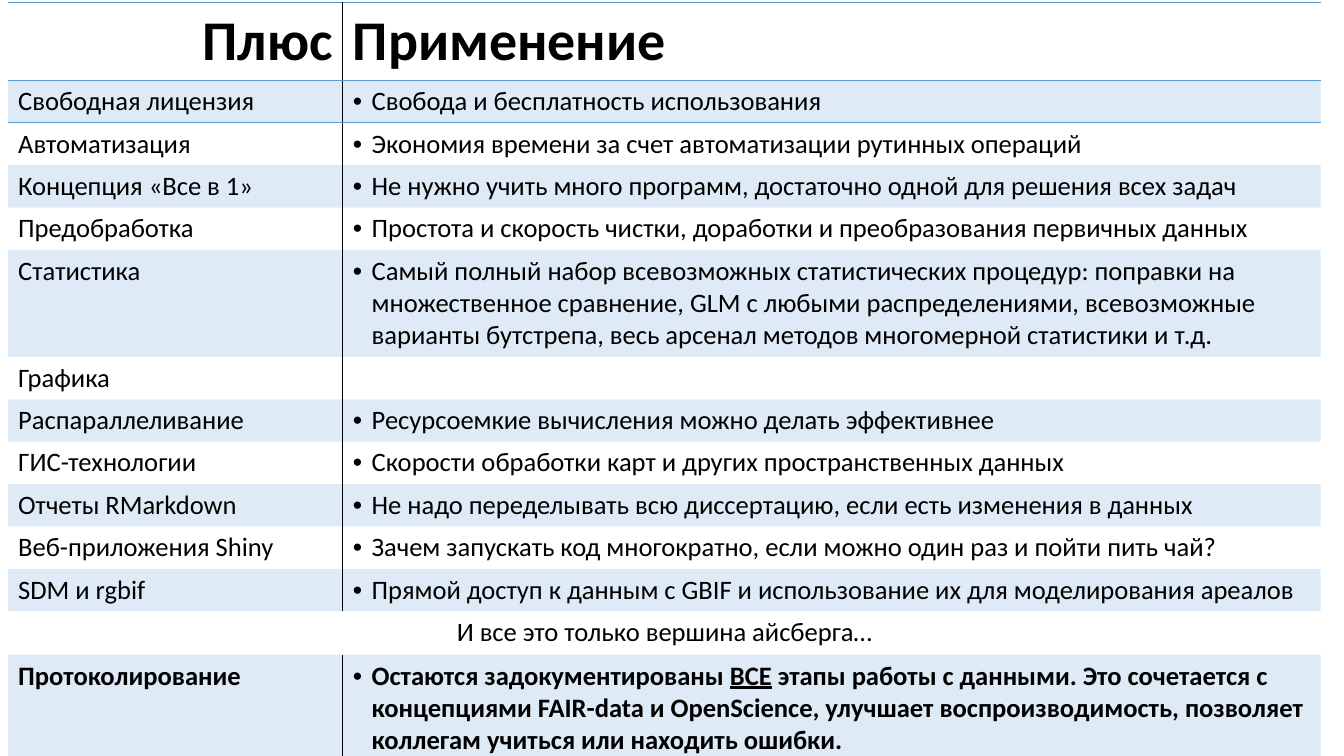
from lxml.etree import SubElement
from pptx import Presentation
from pptx.dml.color import RGBColor
from pptx.enum.text import PP_ALIGN
from pptx.oxml import parse_xml
from pptx.oxml.ns import nsdecls, qn
from pptx.util import Pt

COLORS = {"text": "000000", "blue": "5B9BD5"}
NO_STYLE = "{2D5ABB26-0587-4C30-8999-92F81FD0307C}"
HEADER_H, LINE_H, BLOCK_H, CLOSING_H = 55.7, 30.25, 76.2, 31.2

ROWS = [
    ("Плюс", "Применение", HEADER_H),
    ("Свободная лицензия", "Свобода и бесплатность использования", LINE_H),
    ("Автоматизация", "Экономия времени за счет автоматизации рутинных операций", LINE_H),
    ("Концепция «Все в 1»",
     "Не нужно учить много программ, достаточно одной для решения всех задач", LINE_H),
    ("Предобработка",
     "Простота и скорость чистки, доработки и преобразования первичных данных", LINE_H),
    ("Статистика",
     "Самый полный набор всевозможных статистических процедур: поправки на "
     "множественное сравнение, GLM с любыми распределениями, всевозможные "
     "варианты бутстрепа, весь арсенал методов многомерной статистики и т.д.", BLOCK_H),
    ("Графика", "", LINE_H),
    ("Распараллеливание", "Ресурсоемкие вычисления можно делать эффективнее", LINE_H),
    ("ГИС-технологии", "Скорости обработки карт и других пространственных данных", LINE_H),
    ("Отчеты RMarkdown",
     "Не надо переделывать всю диссертацию, если есть изменения в данных", LINE_H),
    ("Веб-приложения Shiny",
     "Зачем запускать код многократно, если можно один раз и пойти пить чай?", LINE_H),
    ("SDM и rgbif",
     "Прямой доступ к данным с GBIF и использование их для моделирования ареалов", LINE_H),
    ("И все это только вершина айсберга…", "", CLOSING_H),
    ("Протоколирование",
     "Остаются задокументированы *ВСЕ* этапы работы с данными. Это сочетается с "
     "концепциями FAIR-data и OpenScience, улучшает воспроизводимость, позволяет "
     "коллегам учиться или находить ошибки.", BLOCK_H),
]
LAST = len(ROWS) - 1
CLOSING = LAST - 1


def write(cell, text, size=19, bold=False, align=PP_ALIGN.LEFT, bullet=False):
    p = cell.text_frame.paragraphs[0]
    p.alignment = align
    if bullet:
        pPr = p._p.get_or_add_pPr()
        pPr.set("marL", str(Pt(13.5)))
        pPr.set("indent", str(-Pt(13.5)))
        SubElement(pPr, qn("a:buFont"), typeface="Arial")
        SubElement(pPr, qn("a:buChar"), char="•")
    for i, part in enumerate(text.split("*")):
        r = p.add_run()
        r.text = part
        r.font.name = "Calibri"
        r.font.size = Pt(size)
        r.font.bold = bold
        r.font.underline = i % 2 == 1
        r.font.color.rgb = RGBColor.from_string(COLORS["text"])


def add_borders(cell, sides):
    tcPr = cell._tc.get_or_add_tcPr()
    for i, side in enumerate(s for s in "LRTB" if s in sides):
        color = COLORS["text" if side in "LR" else "blue"]
        tcPr.insert(i, parse_xml(
            f'<a:ln{side} {nsdecls("a")} w="{Pt(1)}"><a:solidFill>'
            f'<a:srgbClr val="{color}"/></a:solidFill></a:ln{side}>'))


prs = Presentation()
prs.slide_width, prs.slide_height = Pt(960), Pt(540)
s = prs.slides.add_slide(prs.slide_layouts[6])
height = sum(row[2] for row in ROWS)
table = s.shapes.add_table(len(ROWS), 2, Pt(5.8), Pt(1.5), Pt(937.6), Pt(height)).table
table.first_row = table.horz_banding = False
table._tbl.tblPr[0].text = NO_STYLE
table.columns[0].width, table.columns[1].width = Pt(239), Pt(698.6)

for n, (plus, use, row_height) in enumerate(ROWS):
    table.rows[n].height = Pt(row_height)
    left, right = table.cell(n, 0), table.cell(n, 1)
    if n == CLOSING:
        left.merge(right)
        write(left, plus, align=PP_ALIGN.CENTER)
        continue
    if n == 0:
        write(left, plus, size=40, bold=True, align=PP_ALIGN.RIGHT)
        write(right, use, size=40, bold=True)
    else:
        write(left, plus, bold=n == LAST)
        if use:
            write(right, use, bold=n == LAST, bullet=True)
    edges = {0: "TB", 1: "T", LAST: "B"}.get(n, "")
    for cell, side in ((left, "R"), (right, "L")):
        if n % 2:
            cell.fill.solid()
            cell.fill.fore_color.rgb = RGBColor.from_string(COLORS["blue"])
            tint = cell._tc.tcPr.find(".//" + qn("a:srgbClr"))
            SubElement(tint, qn("a:alpha"), val="20000")
        add_borders(cell, side + edges)

prs.save("out.pptx")
